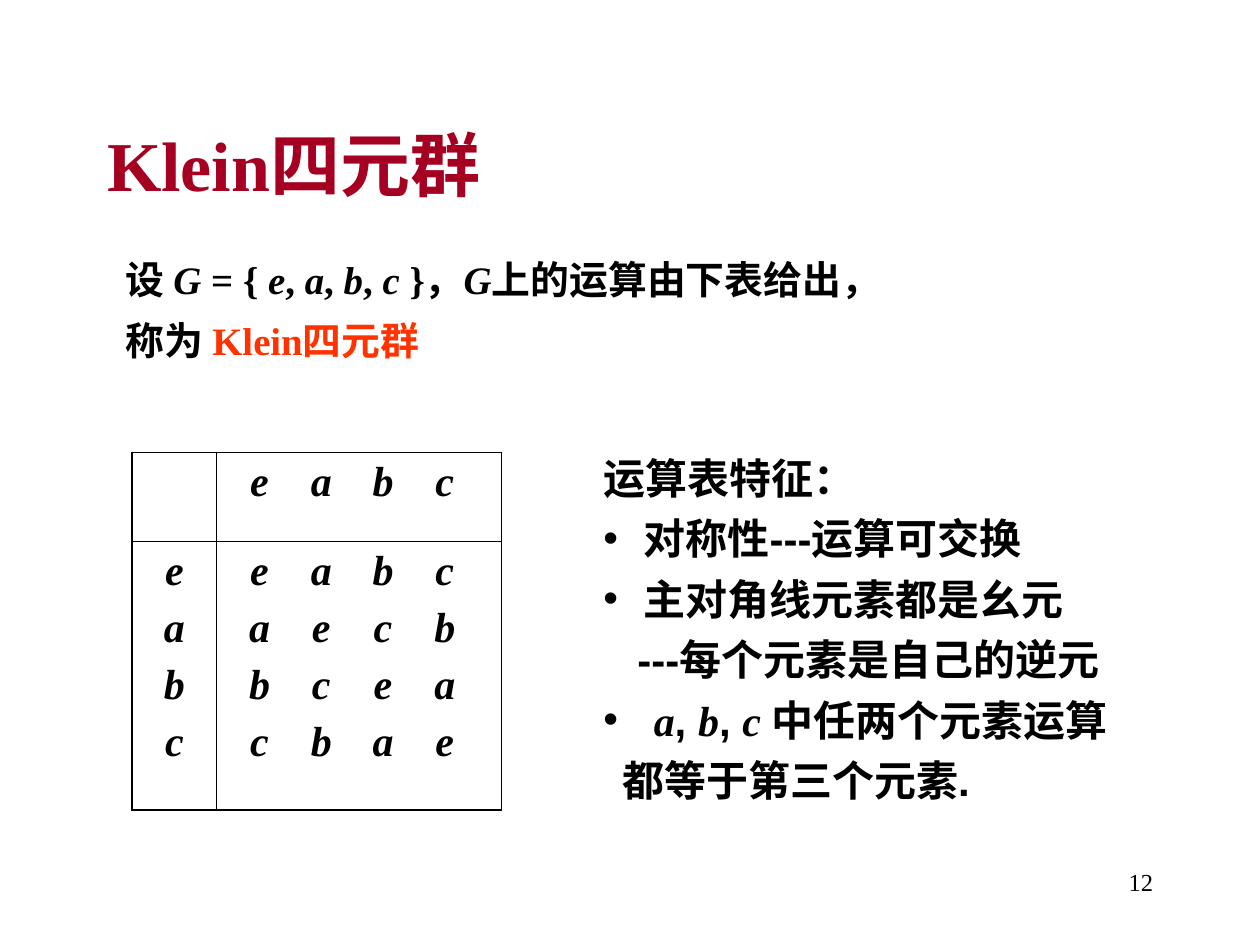
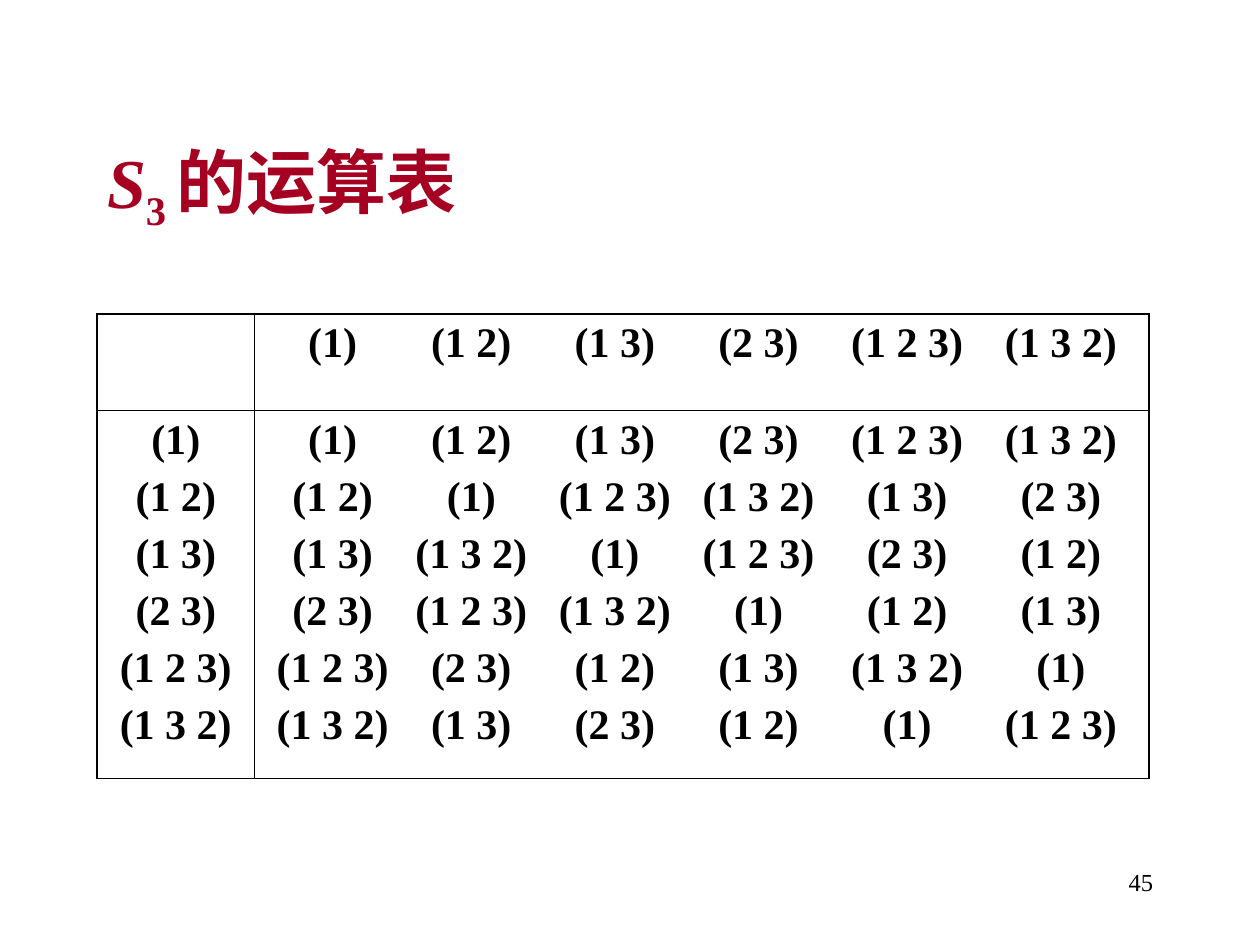
from lxml.etree import SubElement
from pptx import Presentation
from pptx.dml.color import RGBColor
from pptx.enum.text import MSO_ANCHOR as Anchor, MSO_AUTO_SIZE as AutoSize, PP_ALIGN as Align
from pptx.oxml import parse_xml
from pptx.oxml.ns import nsdecls, qn
from pptx.util import Inches, Pt

COLOURS = {"ink": "000000", "title": "A50021", "term": "FF3300"}
SERIF, SANS = "Times New Roman", "Arial"
COLUMNS, ROWS = 100, 75
THICK, THIN = 1.08, 0.45
TITLE = dict(size=40, colour="title", bold=True)
TABLE = dict(size=24, bold=True)


def write(para, text, size=24, font=SERIF, colour="ink", bold=False, italic=False, baseline=0):
    """Append text to para; stretches between asterisks are in serif italics."""
    for index, piece in enumerate(text.split("*")):
        if not piece:
            continue
        variable = index % 2 == 1
        span = para.add_run()
        span.text = piece
        span.font.size = Pt(size)
        span.font.name = SERIF if variable else font
        span.font.bold = bold
        span.font.italic = italic or variable
        span.font.color.rgb = RGBColor.from_string(COLOURS[colour])
        if baseline:
            span.font._element.set("baseline", str(baseline * 1000))


def next_para(frame):
    first = frame.paragraphs[0]
    return frame.add_paragraph() if first.runs else first


def set_indent(para, left, first=0, bullet=None):
    properties = para._p.get_or_add_pPr()
    properties.set("marL", str(Inches(left)))
    properties.set("indent", str(Inches(first)))
    if bullet:
        SubElement(properties, qn("a:buFont"), typeface=SANS)
        SubElement(properties, qn("a:buChar"), char=bullet)


def set_centre_tabs(para, stops):
    tabs = SubElement(para._p.get_or_add_pPr(), qn("a:tabLst"))
    for stop in stops:
        SubElement(tabs, qn("a:tab"), pos=str(Inches(stop)), algn="ctr")


def set_borders(cell, **widths):
    """Draw the L, R, T and B sides of a cell, with widths in points."""
    properties = cell._tc.get_or_add_tcPr()
    for side, width in widths.items():
        properties.append(parse_xml(
            f'<a:ln{side} {nsdecls("a")} w="{Pt(width)}"><a:solidFill>'
            f'<a:srgbClr val="{COLOURS["ink"]}"/></a:solidFill></a:ln{side}>'))


class Lesson:
    """Holds the deck and its current page; lengths are grid columns and rows."""

    def __init__(self):
        self.deck = Presentation()
        self.deck.slide_width, self.deck.slide_height = Inches(10), Inches(7.5)
        self.column = self.deck.slide_width / COLUMNS
        self.row = self.deck.slide_height / ROWS
        self.page = None

    def across(self, columns):
        return round(columns * self.column)

    def down(self, rows):
        return round(rows * self.row)

    def place(self, left, top, width, height):
        return self.across(left), self.down(top), self.across(width), self.down(height)

    def add_page(self, number, title_top, *title_spans):
        self.page = self.deck.slides.add_slide(self.deck.slide_layouts[5])
        title = self.page.shapes.title
        title.left, title.top, title.width, title.height = self.place(7.5, title_top, 85, 12.5)
        frame = title.text_frame
        frame.auto_size = AutoSize.NONE
        frame.vertical_anchor = Anchor.MIDDLE
        para = frame.paragraphs[0]
        para.alignment = Align.LEFT
        for text, extra in title_spans:
            write(para, text, **TITLE, **extra)
        footer = self.add_box(71.7, 68.3, 20.8, 5).paragraphs[0]
        footer.alignment = Align.RIGHT
        write(footer, str(number), size=14)

    def add_box(self, left, top, width, height):
        frame = self.page.shapes.add_textbox(*self.place(left, top, width, height)).text_frame
        frame.word_wrap = True
        return frame

    def add_operation_table(self, left, top, widths, heights, elements, products, stops, **style):
        """Draw a group table; products holds one string of element indexes per row."""
        table = self.page.shapes.add_table(
            2, 2, *self.place(left, top, sum(widths), sum(heights))).table
        table.first_row = table.horz_banding = False
        for index in range(2):
            table.columns[index].width = self.across(widths[index])
            table.rows[index].height = self.down(heights[index])
        for y in range(2):
            for x in range(2):
                cell = table.cell(y, x)
                set_borders(cell, L=THIN if x else THICK, R=THICK if x else THIN,
                            T=THIN if y else THICK, B=THICK if y else THIN)
                cell.fill.background()
        rows = [[elements[int(digit)] for digit in product] for product in products]
        self.fill_cell(table.cell(0, 1), [elements], stops, **style)
        self.fill_cell(table.cell(1, 0), [[name] for name in elements], None, **style)
        self.fill_cell(table.cell(1, 1), rows, stops, **style)

    def fill_cell(self, cell, rows, stops, **style):
        for names in rows:
            para = next_para(cell.text_frame)
            para.space_before = Pt(6)
            if stops:
                set_centre_tabs(para, stops)
                write(para, "".join("\t" + name for name in names), **style)
            else:
                para.alignment = Align.CENTER
                write(para, names[0], **style)


def build_klein_page(lesson):
    lesson.add_page(12, 6.7, ("Klein四元群", {}))
    definition = lesson.add_box(9, 19.4, 85.1, 10.2)
    lines = [
        [("设 *G *= { *e*, *a*, *b*, *c *}，*G*上的运算由下表给出，", "ink")],
        [("称为 ", "ink"), ("Klein四元群", "term")],
    ]
    for spans in lines:
        para = next_para(definition)
        para.line_spacing = 1.1
        para.space_before = Pt(6)
        set_indent(para, 0.38, -0.38)
        for text, colour in spans:
            write(para, text, size=22.2, bold=True, colour=colour)

    lesson.add_operation_table(
        10.5, 35.9, (6.7, 22.6), (7.1, 21.3), "eabc", ("0123", "1032", "2301", "3210"),
        [0.24 + 0.49 * index for index in range(4)], italic=True, **TABLE)

    features = lesson.add_box(46.9, 34.6, 44.1, 38.6)
    for text, left, bullet in (
        ("运算表特征：", 0, None),
        ("对称性---运算可交换", 0.32, "•"),
        ("主对角线元素都是幺元", 0.32, "•"),
        ("---每个元素是自己的逆元", 0.27, None),
        ("*a*, *b*, *c *中任两个元素运算", 0.4, "•"),
        ("都等于第三个元素.", 0.15, None),
    ):
        para = next_para(features)
        para.line_spacing = 1.2
        set_indent(para, left, -left if bullet else 0, bullet)
        write(para, text, font=SANS, bold=True)


def build_permutation_page(lesson):
    lesson.add_page(45, 8.5, ("S", {"italic": True}), ("3 ", {"baseline": -25}), ("的运算表", {}))
    lesson.add_operation_table(
        7.7, 24.9, (12.5, 71), (7.7, 29.2),
        ("(1)", "(1 2)", "(1 3)", "(2 3)", "(1 2 3)", "(1 3 2)"),
        ("012345", "104523", "250431", "345012", "431250", "523104"),
        (0.52, 1.62, 2.76, 3.9, 5.08, 6.3), **TABLE)


def main():
    lesson = Lesson()
    build_klein_page(lesson)
    build_permutation_page(lesson)
    lesson.deck.save("out.pptx")


if __name__ == "__main__":
    main()
